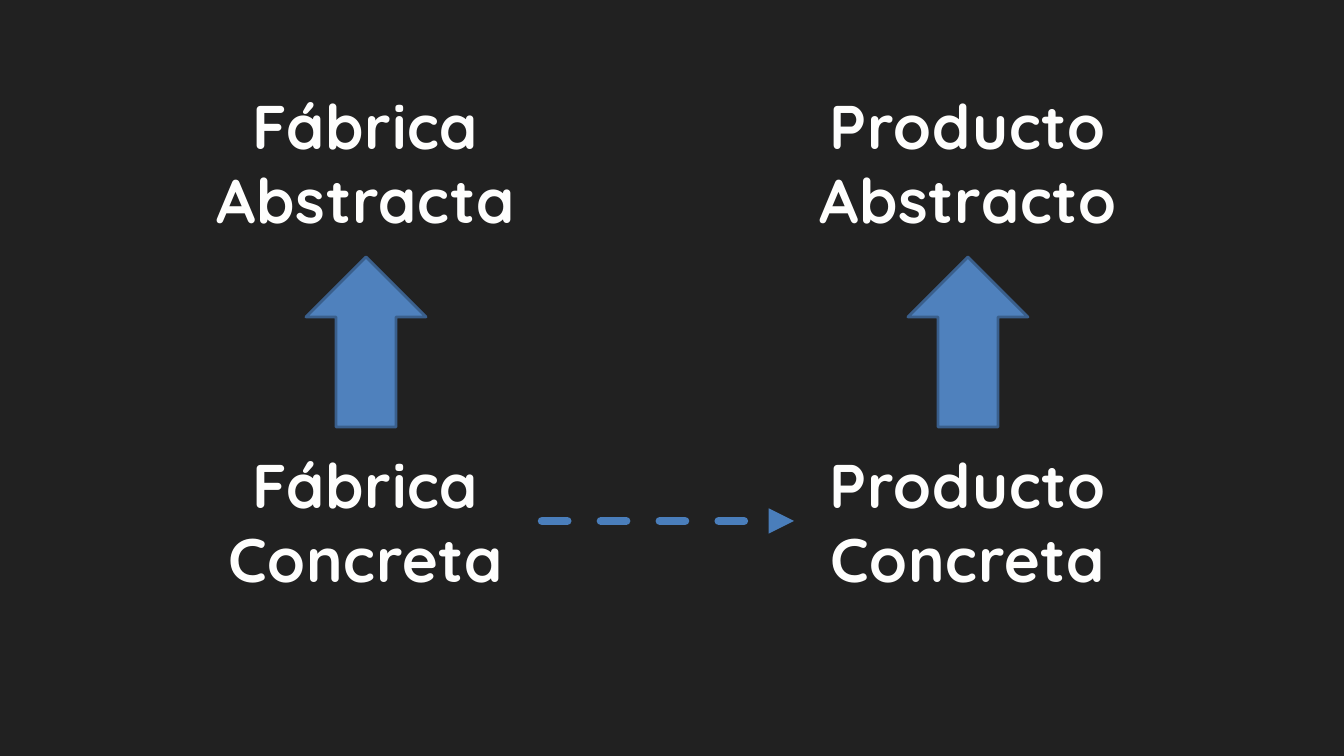
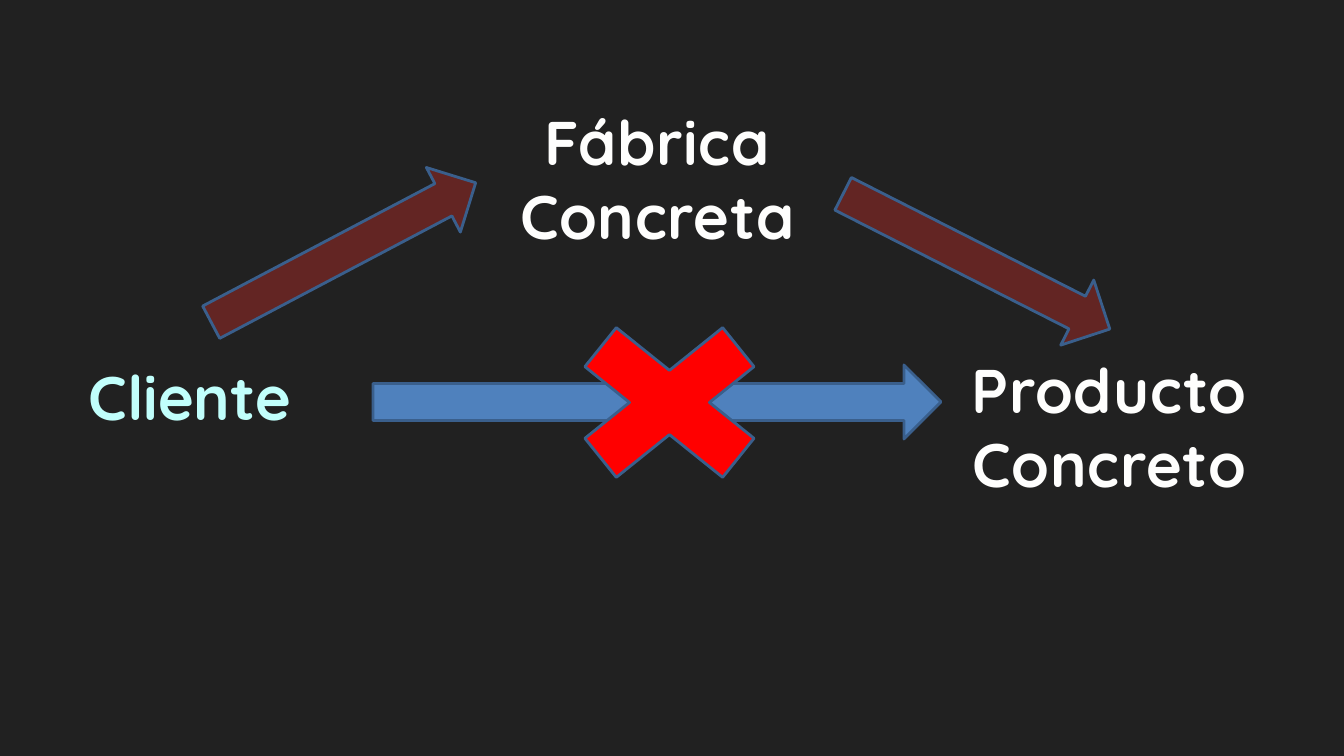
"""Build two dark slides that explain the abstract factory pattern."""
import lxml.etree
import pptx
import pptx.dml.color
import pptx.enum.dml
import pptx.enum.shapes
import pptx.enum.text
import pptx.oxml.ns
import pptx.util

RGBColor = pptx.dml.color.RGBColor
SHAPE = pptx.enum.shapes.MSO_SHAPE
BACKGROUND = RGBColor(0x21, 0x21, 0x21)
WHITE = RGBColor(0xFE, 0xFE, 0xFD)
CYAN = RGBColor(0xC1, 0xFF, 0xFC)
BLUE = RGBColor(0x4F, 0x81, 0xBD)
OUTLINE = RGBColor(0x3A, 0x5F, 0x8C)
DASH_BLUE = RGBColor(0x4A, 0x7E, 0xBB)
RED = RGBColor(0xFF, 0x00, 0x00)
MAROON = RGBColor(0x63, 0x25, 0x23)
PX = 914400 / 100.8


def add_label(slide, text, box, color=WHITE, spacing=50, wrap=True):
    label = slide.shapes.add_textbox(*(round(v * PX) for v in box))
    label.text_frame.word_wrap = wrap
    paragraph = label.text_frame.paragraphs[0]
    paragraph.text = text
    paragraph.alignment = pptx.enum.text.PP_ALIGN.CENTER
    paragraph.font.name = "Quicksand"
    paragraph.font.size = pptx.util.Pt(44)
    paragraph.font.bold = True
    paragraph.font.color.rgb = color
    paragraph._p.get_or_add_pPr().get_or_add_defRPr().set("spc", str(spacing))


def add_symbol(slide, preset, box, fill, rotation=0):
    symbol = slide.shapes.add_shape(preset, *(round(v * PX) for v in box))
    symbol.rotation = rotation
    symbol.shadow.inherit = False
    symbol.fill.solid()
    symbol.fill.fore_color.rgb = fill
    symbol.line.color.rgb = OUTLINE
    symbol.line.width = pptx.util.Pt(2)


prs = pptx.Presentation()
prs.slide_width = round(1344 * PX)
prs.slide_height = round(756 * PX)
master_fill = prs.slide_master.background.fill
master_fill.solid()
master_fill.fore_color.rgb = BACKGROUND
blank = prs.slide_layouts[6]

hierarchy = prs.slides.add_slide(blank)
columns = [
    (366, "Fábrica Abstracta", "Fábrica Concreta"),
    (968, "Producto Abstracto", "Producto Concreta"),
]
for center, abstract, concrete in columns:
    add_label(hierarchy, abstract, (center - 193, 83, 386, 158))
    add_label(hierarchy, concrete, (center - 193, 442, 386, 158))
    add_symbol(hierarchy, SHAPE.UP_ARROW, (center - 60, 257, 120, 170), BLUE)

creates = hierarchy.shapes.add_connector(
    pptx.enum.shapes.MSO_CONNECTOR.STRAIGHT,
    *(round(v * PX) for v in (542, 521, 794, 521)))
creates.line.color.rgb = DASH_BLUE
creates.line.width = pptx.util.Pt(6)
creates.line.dash_style = pptx.enum.dml.MSO_LINE.DASH
properties = creates._element.spPr
stroke = properties.find(pptx.oxml.ns.qn("a:ln"))
stroke.set("cap", "rnd")
lxml.etree.SubElement(stroke, pptx.oxml.ns.qn("a:tailEnd"), type="triangle")
lxml.etree.SubElement(properties, pptx.oxml.ns.qn("a:effectLst"))

usage = prs.slides.add_slide(blank)
add_label(usage, "Cliente", (74, 354, 232, 84), CYAN, spacing=0, wrap=False)
add_label(usage, "Producto Concreto", (944, 347, 331, 158))
add_label(usage, "Fábrica Concreta", (492, 99, 331, 158))
usage_symbols = [
    (SHAPE.RIGHT_ARROW, (373, 365, 568, 74), BLUE, 0),
    (SHAPE.MATH_MULTIPLY, (537, 296, 265, 213), RED, 0),
    (SHAPE.RIGHT_ARROW, (827, 225, 299, 73), MAROON, 26.9),
    (SHAPE.RIGHT_ARROW, (194, 216, 299, 73), MAROON, 332.2),
]
for symbol_spec in usage_symbols:
    add_symbol(usage, *symbol_spec)

prs.save("out.pptx")
